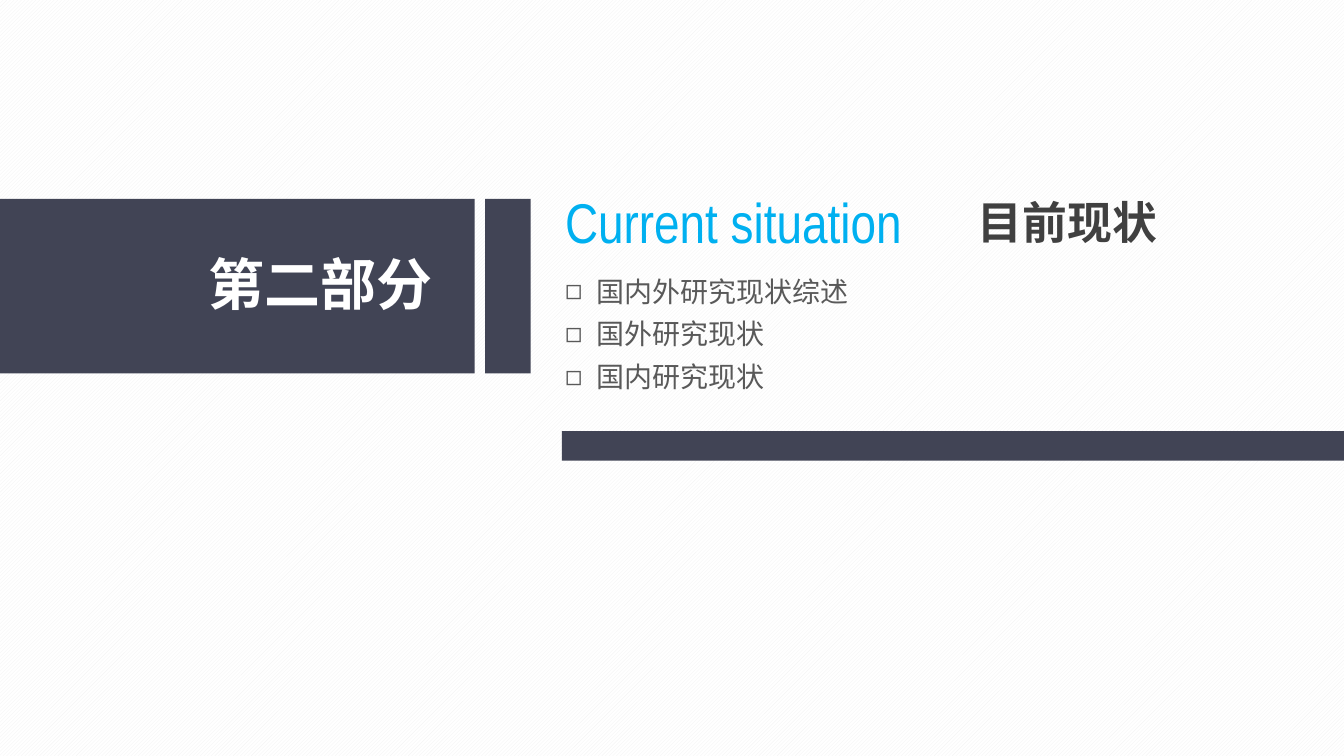
from lxml import etree
from pptx import Presentation
from pptx import util as u
from pptx.dml.color import RGBColor
from pptx.enum import dml, shapes, text
from pptx.oxml import ns

SLATE = RGBColor(0x41, 0x44, 0x55)
WHITE = RGBColor(0xFF, 0xFF, 0xFF)
HATCH_GREY = RGBColor(0xF2, 0xF2, 0xF2)
SKY_BLUE = RGBColor(0x00, 0xB0, 0xF0)
DARK_GREY = RGBColor(0x40, 0x40, 0x40)
TEXT_GREY = RGBColor(0x59, 0x59, 0x59)
CHINESE_FONT = "Noto Sans CJK SC"


def write_text(shape, lines, box, size, color, font=CHINESE_FONT, bold=False,
               bullet=None, gap=0):
    shape.left, shape.top, shape.width, shape.height = map(u.Cm, box)
    frame = shape.text_frame
    frame.word_wrap = True
    frame.auto_size = text.MSO_AUTO_SIZE.NONE
    frame.vertical_anchor = text.MSO_ANCHOR.TOP
    frame.margin_left = frame.margin_right = u.Cm(0.19)
    frame.margin_top = frame.margin_bottom = u.Cm(0.1)
    frame.text = "\n".join(lines)
    for index, paragraph in enumerate(frame.paragraphs):
        paragraph.alignment = text.PP_ALIGN.LEFT
        paragraph.space_before = u.Pt(gap if index else 0)
        if bullet:
            properties = paragraph._p.get_or_add_pPr()
            properties.set("marL", str(u.Cm(0.59)))
            properties.set("indent", str(-u.Cm(0.59)))
            etree.SubElement(properties, ns.qn("a:buChar"), char=bullet)
        for run in paragraph.runs:
            run.font.size = u.Pt(size)
            run.font.bold = bold
            run.font.color.rgb = color
            run.font.name = font
            etree.SubElement(run.font._element, ns.qn("a:ea"), typeface=font)


presentation = Presentation()
presentation.slide_width = u.Cm(25.4)
presentation.slide_height = u.Cm(14.29)
slide = presentation.slides.add_slide(presentation.slide_layouts[1])

background = slide.background.fill
background.patterned()
background.pattern = dml.MSO_PATTERN.LIGHT_UPWARD_DIAGONAL
background.fore_color.rgb = HATCH_GREY
background.back_color.rgb = WHITE

bars = [(0, 3.76, 8.97, 3.3), (9.17, 3.76, 0.86, 3.3), (10.62, 8.15, 14.78, 0.56)]
for bar in bars:
    shape = slide.shapes.add_shape(shapes.MSO_SHAPE.RECTANGLE, *map(u.Cm, bar))
    shape.shadow.inherit = False
    shape.fill.solid()
    shape.fill.fore_color.rgb = SLATE
    shape.line.fill.background()

write_text(slide.shapes.title, ["Current situation"], (10.49, 3.45, 7.87, 1.47),
           size=30, color=SKY_BLUE, font="Arial Narrow")
write_text(slide.placeholders[1], ["国内外研究现状综述", "国外研究现状", "国内研究现状"],
           (10.49, 5.08, 5.9, 2.72), size=15, color=TEXT_GREY, bullet="◻", gap=5)

labels = [
    ("第二部分", (3.76, 4.62, 4.67, 1.47), 30, WHITE),
    ("目前现状", (18.29, 3.58, 3.81, 1.22), 24, DARK_GREY),
]
for label, box, size, color in labels:
    shape = slide.shapes.add_textbox(*map(u.Cm, box))
    write_text(shape, [label], box, size=size, color=color, bold=True)

presentation.save("out.pptx")
